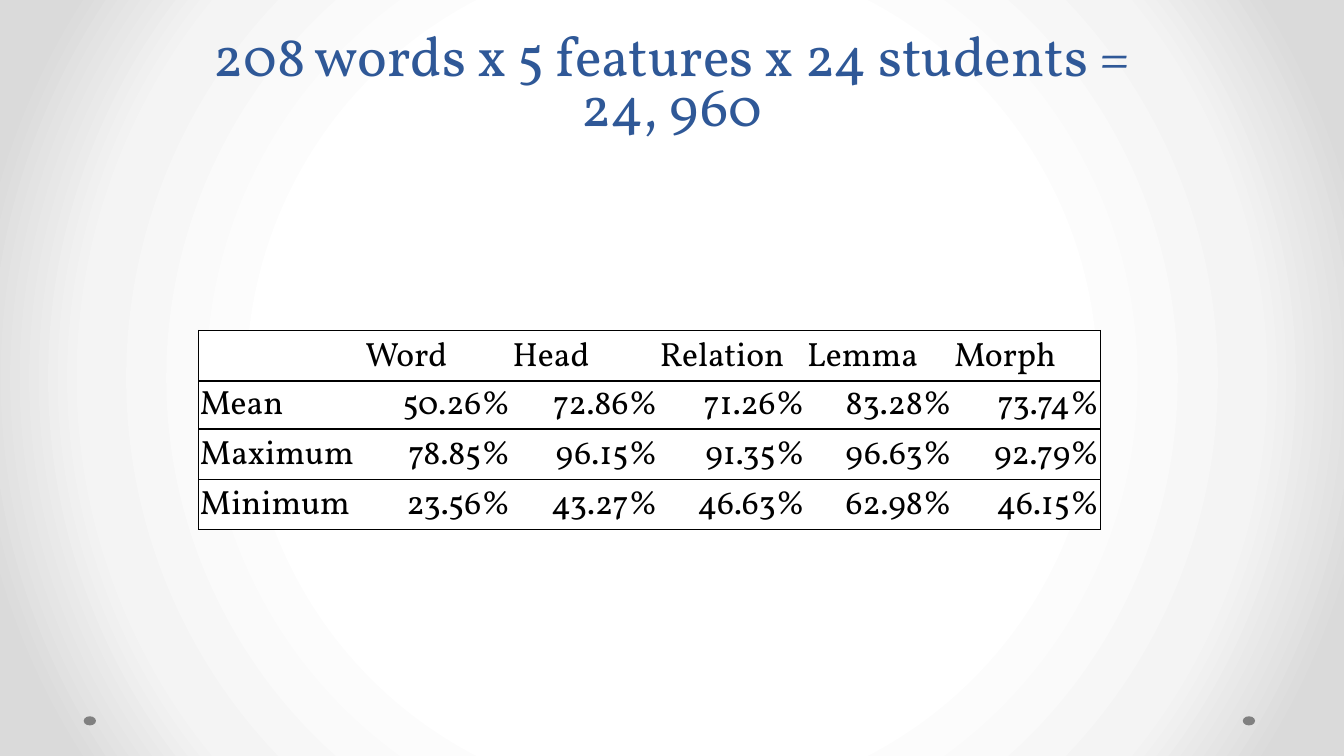
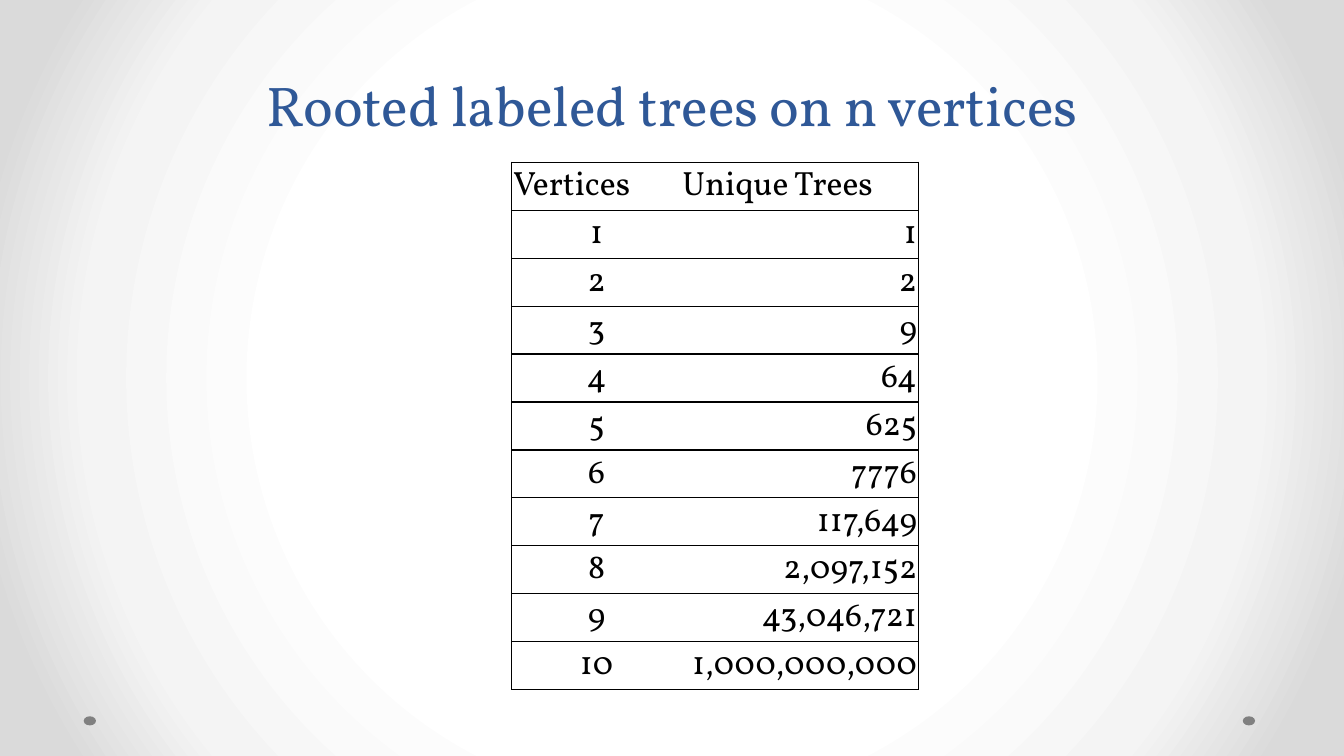
import pptx
import pptx.util
import pptx.dml.color
import pptx.enum.shapes
import pptx.enum.text
import pptx.oxml
import pptx.oxml.ns

Cm = pptx.util.Cm
Pt = pptx.util.Pt
RGBColor = pptx.dml.color.RGBColor
ALIGN = pptx.enum.text.PP_ALIGN
ANCHOR = pptx.enum.text.MSO_ANCHOR

# Shared look
FONT = "Vollkorn"
BLUE = RGBColor(0x2F, 0x58, 0x97)
BLACK = RGBColor(0, 0, 0)
WHITE = RGBColor(255, 255, 255)
GREY = RGBColor(0x80, 0x80, 0x80)
BACKDROP = ((50, WHITE), (76, RGBColor(0xF4, 0xF4, 0xF4)),
            (92, RGBColor(0xDA, 0xDA, 0xDA)))
TITLE_BOX = (1.7, 0, 30.48, 3.6)
DOT_LEFTS = (2.11, 31.32)
DOT_TOP, DOT_WIDTH, DOT_HEIGHT = 18.05, 0.31, 0.23

# Contents
SCORES = (
    ("", "Word", "Head", "Relation", "Lemma", "Morph"),
    ("Mean", "50.26%", "72.86%", "71.26%", "83.28%", "73.74%"),
    ("Maximum", "78.85%", "96.15%", "91.35%", "96.63%", "92.79%"),
    ("Minimum", "23.56%", "43.27%", "46.63%", "62.98%", "46.15%"),
)
TREES = (
    ("Vertices", "Unique Trees"), ("1", "1"), ("2", "2"), ("3", "9"),
    ("4", "64"), ("5", "625"), ("6", "7776"), ("7", "117,649"),
    ("8", "2,097,152"), ("9", "43,046,721"), ("10", "1,000,000,000"),
)


def write(frame, text, size=24, color=BLACK, align=ALIGN.LEFT, spacing=None):
    """Put one formatted paragraph into a text frame."""
    paragraph = frame.paragraphs[0]
    paragraph.text = text
    paragraph.alignment = align
    if spacing:
        paragraph.line_spacing = Pt(spacing)
    for run in paragraph.runs:
        run.font.name = FONT
        run.font.size = Pt(size)
        run.font.color.rgb = color


def paint_backdrop(master):
    """Give the master a round gradient from white to grey."""
    master.background.fill.gradient()
    gradient = master.element.xpath(".//p:bg//a:gradFill")[0]
    stops = "".join(
        f'<a:gs pos="{place * 1000}"><a:srgbClr val="{color}"/></a:gs>'
        for place, color in BACKDROP)
    gradient.getparent().replace(gradient, pptx.oxml.parse_xml(
        f'<a:gradFill {pptx.oxml.ns.nsdecls("a")} rotWithShape="1">'
        f'<a:gsLst>{stops}</a:gsLst><a:path path="circle">'
        '<a:fillToRect l="50000" t="50000" r="50000" b="50000"/>'
        '</a:path></a:gradFill>'))


def add_footer_dots(slide, master):
    """Draw the two footer dots and hand them over to the master."""
    for left in DOT_LEFTS:
        dot = slide.shapes.add_shape(
            pptx.enum.shapes.MSO_SHAPE.OVAL,
            Cm(left), Cm(DOT_TOP), Cm(DOT_WIDTH), Cm(DOT_HEIGHT))
        dot.shadow.inherit = False
        dot.fill.solid()
        dot.fill.fore_color.rgb = GREY
        dot.line.fill.background()
        master.shapes.element.append(dot.element)


def set_borders(cell, visible):
    """Draw 1 pt black lines on the visible sides, none on the others."""
    properties = cell._tc.get_or_add_tcPr()
    for side in "LRTB":
        fill = (f'<a:solidFill><a:srgbClr val="{BLACK}"/></a:solidFill>'
                if side in visible else "<a:noFill/>")
        properties.append(pptx.oxml.parse_xml(
            f'<a:ln{side} {pptx.oxml.ns.nsdecls("a")} w="12700">'
            f'{fill}</a:ln{side}>'))


def add_title(slide, text, box):
    title = slide.shapes.title
    title.left, title.top, title.width, title.height = map(Cm, box)
    frame = title.text_frame
    frame.auto_size = pptx.enum.text.MSO_AUTO_SIZE.NONE
    frame.vertical_anchor = ANCHOR.BOTTOM
    write(frame, text, size=40, color=BLUE, align=ALIGN.CENTER, spacing=36)


def add_ruled_table(slide, rows, left, top, widths, heights, aligns):
    """Add a table with an outer frame and lines between its rows."""
    table = slide.shapes.add_table(
        len(rows), len(widths), Cm(left), Cm(top),
        Cm(sum(widths)), Cm(sum(heights))).table
    table.first_row = table.horz_banding = False
    for column, width in zip(table.columns, widths):
        column.width = Cm(width)
    for r, (entries, height) in enumerate(zip(rows, heights)):
        table.rows[r].height = Cm(height)
        for c, entry in enumerate(entries):
            cell = table.cell(r, c)
            visible = "TB" + "L" * (c == 0) + "R" * (c == len(widths) - 1)
            set_borders(cell, visible)
            cell.fill.solid()
            cell.fill.fore_color.rgb = WHITE
            cell.margin_left = cell.margin_right = cell.margin_top = Cm(0.03)
            cell.margin_bottom = 0
            cell.vertical_anchor = ANCHOR.BOTTOM
            if entry:
                write(cell.text_frame, entry,
                      align=aligns[c] if r else ALIGN.LEFT)


def add_table_slide(deck, title, **table):
    """Add a slide with a title and one ruled table."""
    slide = deck.slides.add_slide(deck.slide_layouts[5])
    add_title(slide, title, TITLE_BOX)
    add_ruled_table(slide, **table)
    return slide


deck = pptx.Presentation()
deck.slide_width, deck.slide_height = Cm(33.87), Cm(19.05)
paint_backdrop(deck.slide_master)

# Annotation scores
scores_slide = add_table_slide(
    deck, "208 words x 5 features x 24 students =\v24, 960",
    rows=SCORES, left=5.01, top=8.33,
    widths=[4.17] + [3.71] * 5, heights=[1.27, 0.71, 1.27, 1.27],
    aligns=[ALIGN.LEFT] + [ALIGN.RIGHT] * 5)
add_footer_dots(scores_slide, deck.slide_master)

# Tree counts
add_table_slide(
    deck, "Rooted labeled trees on n vertices",
    rows=TREES, left=12.9, top=4.09,
    widths=[4.27, 5.97], heights=[0.79] * 3 + [1.17] + [0.79] * 7,
    aligns=[ALIGN.CENTER, ALIGN.RIGHT])

deck.save("out.pptx")
